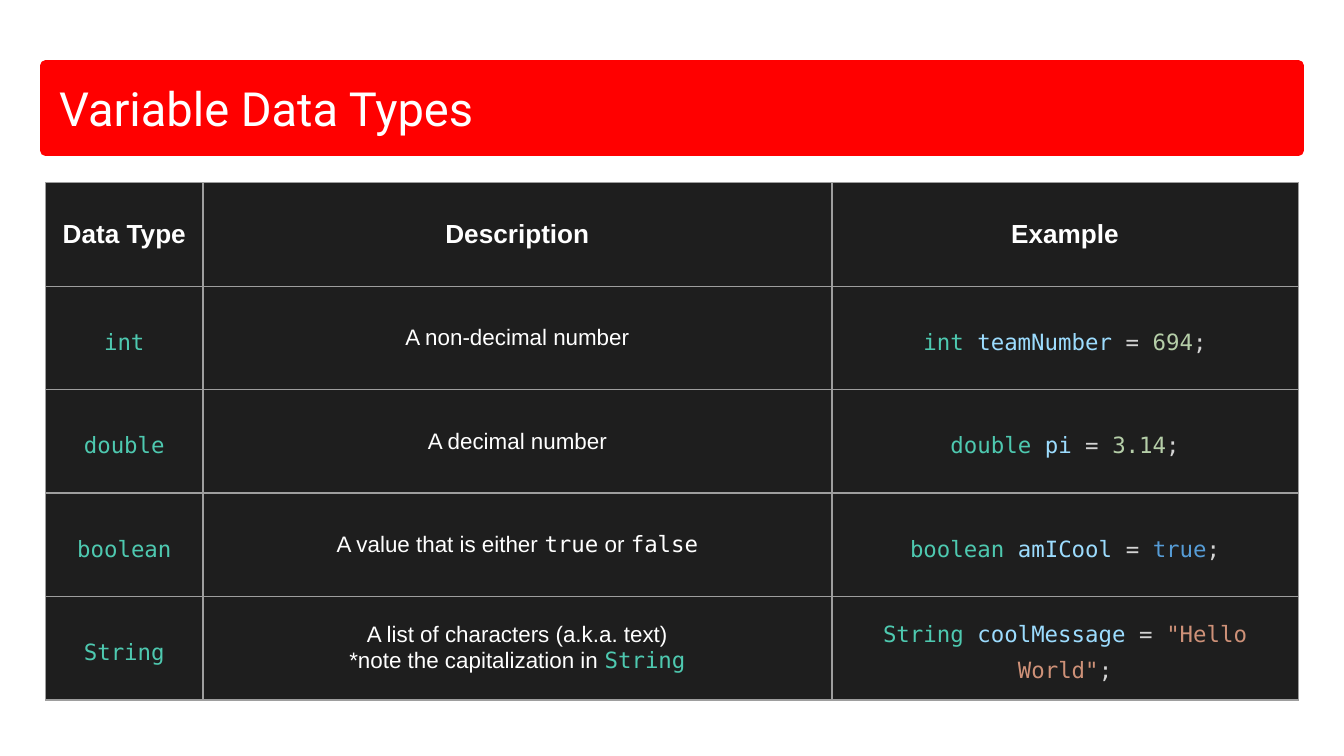
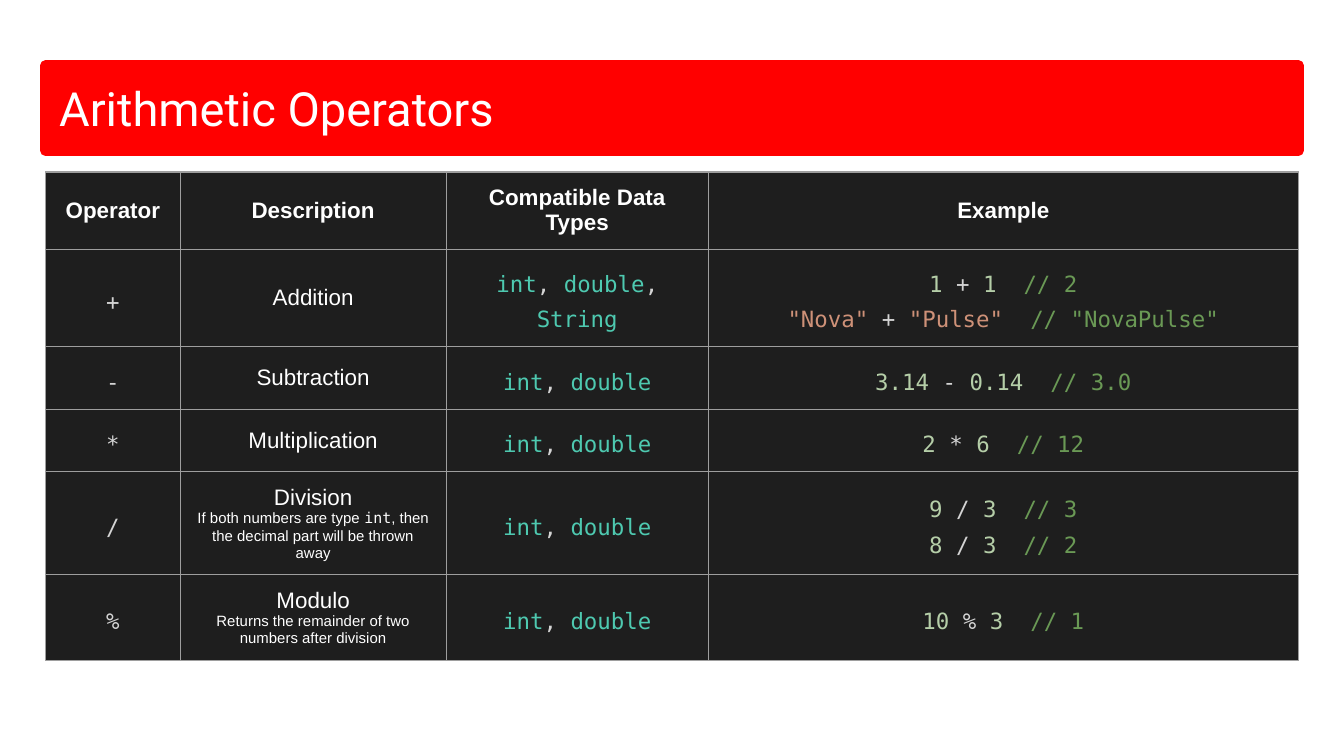
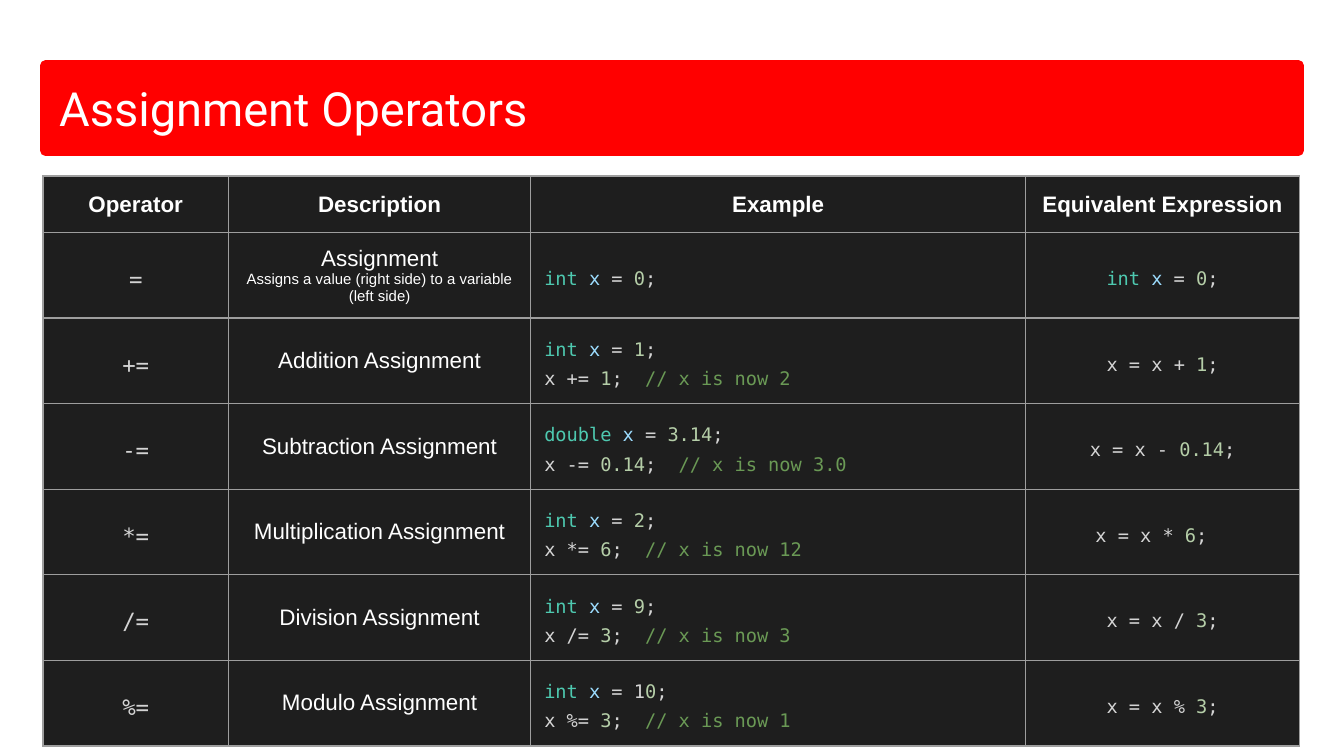
import pptx
import pptx.dml.color
import pptx.enum.text
import pptx.oxml
import pptx.oxml.ns
import pptx.util
from dataclasses import dataclass


# Theme
@dataclass(frozen=True)
class Theme:
    band: str = "FF0000"
    cell: str = "1E1E1E"
    grid: str = "9E9E9E"
    white: str = "FFFFFF"
    title_font: str = "Roboto"
    text_font: str = "Arial"
    code_font: str = "DejaVu Sans Mono"
    title_size: float = 25.2
    body_size: float = 12
    small_size: float = 8
    band_line: float = 6
    grid_line: float = 0.75
    code_spacing: float = 19 / 14
    inset: float = 0.1


THEME = Theme()
CODE_COLOURS = {
    "type": "4EC9B0", "name": "9CDCFE", "mark": "D4D4D4", "number": "B5CEA8",
    "string": "CE9178", "keyword": "569CD6", "comment": "6A9955",
}
# Styles for words: font and size
WORD_STYLES = {
    "text": (THEME.text_font, THEME.body_size),
    "small": (THEME.text_font, THEME.small_size),
    "mono": (THEME.code_font, THEME.body_size),
    "smallmono": (THEME.code_font, THEME.small_size),
}

# Content: each cell is a list of paragraphs, each "<style>run<style>run"
TYPE_ROWS = [
    [["<type>int"], ["<text>A non-decimal number"],
     ["<type>int <name>teamNumber<mark> = <number>694<mark>;"]],
    [["<type>double"], ["<text>A decimal number"],
     ["<type>double <name>pi<mark> = <number>3.14<mark>;"]],
    [["<type>boolean"],
     ["<text>A value that is either <mono>true<text> or <mono>false"],
     ["<type>boolean <name>amICool <mark>= <keyword>true<mark>;"]],
    [["<type>String"],
     ["<text>A list of characters (a.k.a. text)",
      "<text>*note the capitalization in <type>String"],
     ['<type>String <name>coolMessage<mark> = <string>"Hello World"<mark>;']],
]

NUMERIC = "<type>int<mark>, <type>double"


def calculation(left, operator, right, result, style="number"):
    return f"<{style}>{left}<mark> {operator} <{style}>{right}  <comment>// {result}"


ARITHMETIC_ROWS = [
    [["<mark>+"], ["<text>Addition"], [NUMERIC + "<mark>, <type>String"],
     [calculation(1, "+", 1, 2),
      calculation('"Nova"', "+", '"Pulse"', '"NovaPulse"', "string")]],
    [["<mark>-"], ["<text>Subtraction"], [NUMERIC],
     [calculation("3.14", "-", "0.14", "3.0")]],
    [["<mark>*"], ["<text>Multiplication"], [NUMERIC], [calculation(2, "*", 6, 12)]],
    [["<mark>/"],
     ["<text>Division",
      "<small>If both numbers are type <smallmono>int"
      "<small>, then the decimal part will be thrown away"],
     [NUMERIC], [calculation(9, "/", 3, 3), calculation(8, "/", 3, 2)]],
    [["<mark>%"],
     ["<text>Modulo", "<small>Returns the remainder of two numbers after division"],
     [NUMERIC], [calculation(10, "%", 3, 1)]],
]


def declaration(kind, start):
    return f"<type>{kind} <name>x<mark> = {start}<mark>;"


def assignment(operator, name, kind, start, operand, result, ending=";"):
    return [
        [f"<mark>{operator}="], [f"<text>{name} Assignment"],
        [declaration(kind, start),
         f"<mark>x {operator}= <number>{operand}<mark>;  <comment>// x is now {result}"],
        [f"<mark>x = x {operator} <number>{operand}<mark>{ending}"],
    ]


ASSIGNMENT_ROWS = [
    [["<mark>="],
     ["<text>Assignment",
      "<small>Assigns a value (right side) to a variable (left side)"],
     [declaration("int", "<number>0")], [declaration("int", "<number>0")]],
    assignment("+", "Addition", "int", "<number>1", 1, 2),
    assignment("-", "Subtraction", "double", "<number>3.14", "0.14", "3.0"),
    assignment("*", "Multiplication", "int", "<number>2", 6, 12, ";  "),
    assignment("/", "Division", "int", "<number>9", 3, 3),
    assignment("%", "Modulo", "int", "1<number>0", 3, 1),
]

# Row heights are minimums: rows grow with their text
SLIDES = [
    dict(title="Variable Data Types", corner=(0.34, 1.36),
         headers=["Data Type", "Description", "Example"], header_size=14,
         columns=[1.17, 4.68, 3.47], heights=[0.77] * 5,
         code_sizes=[12, 12, 12], left_columns=[], rows=TYPE_ROWS),
    dict(title="Arithmetic Operators", corner=(0.34, 1.28),
         headers=["Operator", "Description", "Compatible Data Types", "Example"],
         header_size=12, columns=[1, 1.98, 1.95, 4.39],
         heights=[0.42, 0.11, 0.11, 0.41, 0.31, 0.3],
         code_sizes=[12, 12, 12, 12], left_columns=[], rows=ARITHMETIC_ROWS),
    dict(title="Assignment Operators", corner=(0.32, 1.31),
         headers=["Operator", "Description", "Example", "Equivalent Expression"],
         header_size=12, columns=[1.38, 2.25, 3.68, 2.04],
         heights=[0.42, 0.31, 0.31, 0.51, 0.41, 0.31, 0.3],
         code_sizes=[12, 12, 10, 10], left_columns=[2], rows=ASSIGNMENT_ROWS),
]


# Text and cell helpers
def rgb(value):
    return pptx.dml.color.RGBColor.from_string(value)


def add_run(paragraph, text, font, size, colour, bold=False):
    run = paragraph.add_run()
    run.text = text
    run.font.name, run.font.size, run.font.bold = font, pptx.util.Pt(size), bold
    run.font.color.rgb = rgb(colour)


def set_insets(box):
    inset = pptx.util.Inches(THEME.inset)
    box.margin_left = box.margin_right = inset
    box.margin_top = box.margin_bottom = inset
    box.vertical_anchor = pptx.enum.text.MSO_ANCHOR.MIDDLE


def format_cell(cell):
    set_insets(cell)
    properties = cell._tc.get_or_add_tcPr()
    width = pptx.util.Pt(THEME.grid_line)
    for side in "LRTB":
        properties.append(pptx.oxml.parse_xml(
            f'<a:ln{side} {pptx.oxml.ns.nsdecls("a")} w="{width}">'
            f'<a:solidFill><a:srgbClr val="{THEME.grid}"/></a:solidFill></a:ln{side}>'))
    cell.fill.solid()
    cell.fill.fore_color.rgb = rgb(THEME.cell)


def fill_cell(cell, paragraphs, code_size, alignment):
    for index, markup in enumerate(paragraphs):
        frame = cell.text_frame
        paragraph = frame.paragraphs[0] if index == 0 else frame.add_paragraph()
        paragraph.alignment = alignment
        runs = [part.split(">", 1) for part in markup.split("<")[1:]]
        if runs[0][0] in CODE_COLOURS:
            paragraph.line_spacing = THEME.code_spacing
        for style, text in runs:
            font, size = WORD_STYLES.get(style, (THEME.code_font, code_size))
            add_run(paragraph, text, font, size, CODE_COLOURS.get(style, THEME.white))


# Slide parts
def add_title(slide, text):
    title = slide.shapes.title
    title.left, title.top, title.width, title.height = map(
        pptx.util.Inches, (0.34, 0.49, 9.32, 0.63))
    title.fill.solid()
    title.fill.fore_color.rgb = rgb(THEME.band)
    title.line.color.rgb = rgb(THEME.band)
    title.line.width = pptx.util.Pt(THEME.band_line)
    title.line._get_or_add_ln().append(
        pptx.oxml.parse_xml(f'<a:round {pptx.oxml.ns.nsdecls("a")}/>'))
    frame = title.text_frame
    set_insets(frame)
    frame.word_wrap = True
    frame.auto_size = pptx.enum.text.MSO_AUTO_SIZE.NONE
    frame.paragraphs[0].alignment = pptx.enum.text.PP_ALIGN.LEFT
    add_run(frame.paragraphs[0], text, THEME.title_font, THEME.title_size, THEME.white)


def add_grid(slide, content):
    columns, heights = content["columns"], content["heights"]
    left, top = content["corner"]
    frame = map(pptx.util.Inches, (left, top, sum(columns), sum(heights)))
    table = slide.shapes.add_table(len(heights), len(columns), *frame).table
    table.first_row = table.horz_banding = False
    for column, width in zip(table.columns, columns):
        column.width = pptx.util.Inches(width)
    for row, height in zip(table.rows, heights):
        row.height = pptx.util.Inches(height)
    for cell in table.iter_cells():
        format_cell(cell)

    align = pptx.enum.text.PP_ALIGN
    for index, header in enumerate(content["headers"]):
        paragraph = table.cell(0, index).text_frame.paragraphs[0]
        paragraph.alignment = align.CENTER
        add_run(paragraph, header, THEME.text_font, content["header_size"],
                THEME.white, bold=True)
    for row_index, row in enumerate(content["rows"], start=1):
        for index, paragraphs in enumerate(row):
            alignment = align.LEFT if index in content["left_columns"] else align.CENTER
            fill_cell(table.cell(row_index, index), paragraphs,
                      content["code_sizes"][index], alignment)


# Build on a 16:9 slide
presentation = pptx.Presentation()
presentation.slide_width = pptx.util.Inches(10)
presentation.slide_height = presentation.slide_width * 9 // 16
title_only = presentation.slide_layouts[5]
for content in SLIDES:
    slide = presentation.slides.add_slide(title_only)
    add_title(slide, content["title"])
    add_grid(slide, content)
presentation.save("out.pptx")
